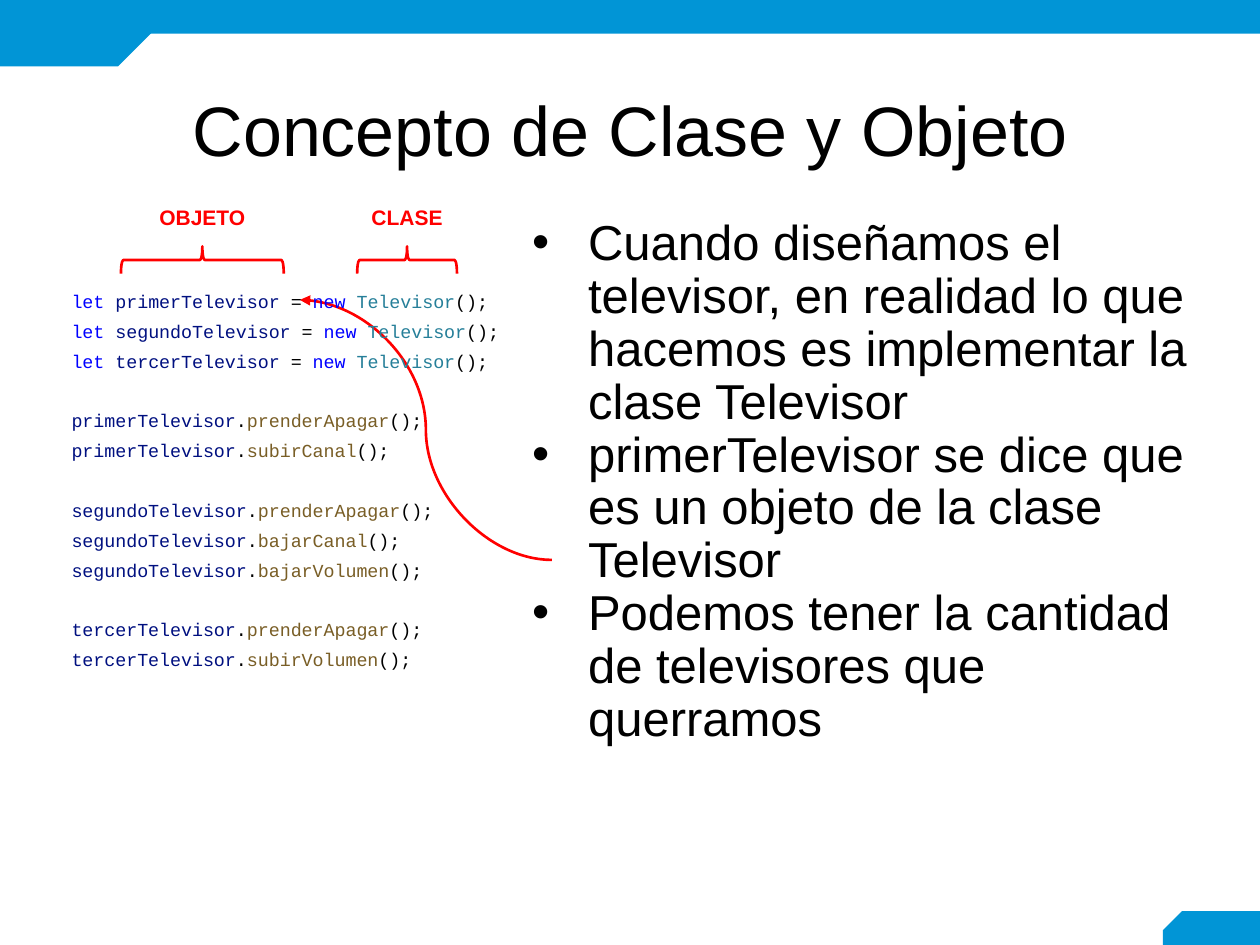
"""Build the slide that explains classes and objects with a television example."""
from dataclasses import dataclass

from lxml import etree
from pptx import Presentation
from pptx.dml.color import RGBColor
from pptx.enum import shapes, text
from pptx.oxml import ns
from pptx.util import Pt


@dataclass(frozen=True)
class Theme:
    band: str = "0195D6"
    ink: str = "000000"
    accent: str = "FF0000"
    keyword: str = "0000FF"
    variable: str = "001080"
    type_name: str = "267F99"
    method: str = "795E26"
    sans: str = "Arial"
    mono: str = "Courier New"
    title: float = 40
    body: float = 28
    label: float = 12
    code: float = 10.5


theme = Theme()
deck = Presentation()
deck.slide_width, deck.slide_height = Pt(720), Pt(540)
slide = deck.slides.add_slide(deck.slide_layouts[6])


def add_frame(left, top, width, height, anchor=text.MSO_ANCHOR.TOP, inset=None):
    frame = slide.shapes.add_textbox(Pt(left), Pt(top), Pt(width), Pt(height)).text_frame
    frame.word_wrap = True
    frame.vertical_anchor = anchor
    if inset is not None:
        frame.margin_left = frame.margin_right = Pt(inset)
        frame.margin_top = frame.margin_bottom = Pt(inset)
    return frame


def set_font(font, name, size, color, bold=False):
    font.name, font.size, font.bold = name, Pt(size), bold
    font.color.rgb = RGBColor.from_string(color)


snip, rect = shapes.MSO_SHAPE.SNIP_1_RECTANGLE, shapes.MSO_SHAPE.RECTANGLE
for preset, left, top, width, height, turn in (
    (snip, 664.6, 520.6, 55.4, 22, 0),
    (rect, 80.6, 0, 639.4, 19.2, 0),
    (snip, 0, 0, 86.4, 37.9, 180),
):
    band = slide.shapes.add_shape(preset, Pt(left), Pt(top), Pt(width), Pt(height))
    band.shadow.inherit = False
    band.fill.solid()
    band.fill.fore_color.rgb = RGBColor.from_string(theme.band)
    band.line.fill.background()
    if preset == snip:
        band.adjustments[0] = 0.5
        band.rotation = turn
        band._element.spPr.find(ns.qn("a:xfrm")).set("flipH", "1")

heading = add_frame(24.5, 46.8, 671, 59.8, text.MSO_ANCHOR.MIDDLE).paragraphs[0]
heading.text = "Concepto de Clase y Objeto"
heading.alignment = text.PP_ALIGN.CENTER
heading.line_spacing = 0.9
set_font(heading.font, theme.sans, theme.title, theme.ink)

ideas = add_frame(293, 121, 402.5, 358.6)
for index, idea in enumerate((
    "Cuando diseñamos el televisor, en realidad lo que hacemos es implementar la clase Televisor",
    "primerTelevisor se dice que es un objeto de la clase Televisor",
    "Podemos tener la cantidad de televisores que querramos",
)):
    point = ideas.add_paragraph() if index else ideas.paragraphs[0]
    point.text = idea
    point.line_spacing = 0.9
    props = point._p.get_or_add_pPr()
    props.set("marL", str(Pt(36)))
    props.set("indent", str(Pt(-32)))
    bullet_color = etree.SubElement(props, ns.qn("a:buClr"))
    etree.SubElement(bullet_color, ns.qn("a:srgbClr"), val=theme.ink)
    etree.SubElement(props, ns.qn("a:buFont"), typeface=theme.sans)
    etree.SubElement(props, ns.qn("a:buChar"), char="•")
    set_font(point.font, theme.sans, theme.body, theme.ink)

brace_depth, brace_middle = 15.6, 148.6
for caption, center, span in (("OBJETO", 115.6, 93), ("CLASE", 232.6, 57)):
    brace = slide.shapes.add_shape(
        shapes.MSO_SHAPE.LEFT_BRACE, Pt(center - brace_depth / 2),
        Pt(brace_middle - span / 2), Pt(brace_depth), Pt(span))
    brace.rotation = 90
    brace.shadow.inherit = False
    brace.fill.background()
    brace.line.color.rgb = RGBColor.from_string(theme.accent)
    brace.line.width = Pt(1.5)
    label = add_frame(center - 46.5, 114.5, 93, 18.7, text.MSO_ANCHOR.MIDDLE, 7.2).paragraphs[0]
    label.text = caption
    label.alignment = text.PP_ALIGN.CENTER
    set_font(label.font, theme.sans, theme.label, theme.accent, True)

pointer = slide.shapes.add_connector(
    shapes.MSO_CONNECTOR.CURVE, Pt(315.4), Pt(320), Pt(171.4), Pt(171.4))
pointer.line.color.rgb = RGBColor.from_string(theme.accent)
pointer.line.width = Pt(1.5)
etree.SubElement(pointer.line._get_or_add_ln(), ns.qn("a:tailEnd"), type="triangle")
etree.SubElement(pointer._element.spPr, ns.qn("a:effectLst"))

calls = {
    "primerTelevisor": ("prenderApagar", "subirCanal"),
    "segundoTelevisor": ("prenderApagar", "bajarCanal", "bajarVolumen"),
    "tercerTelevisor": ("prenderApagar", "subirVolumen"),
}
statements = [
    (0, (("let ", theme.keyword), (variable, theme.variable), (" = ", theme.ink),
         ("new ", theme.keyword), ("Televisor", theme.type_name), ("();", theme.ink)))
    for variable in calls
]
for variable, methods in calls.items():
    for index, method in enumerate(methods):
        gap = 0 if index else 17
        statements.append((gap, ((variable, theme.variable), (".", theme.ink),
                                 (method, theme.method), ("();", theme.ink))))

listing = add_frame(33.8, 154, 296.6, 236, inset=7.2)
for index, (gap, tokens) in enumerate(statements):
    line = listing.add_paragraph() if index else listing.paragraphs[0]
    line.line_spacing = 1.36
    if gap:
        line.space_before = Pt(gap)
    line.font.name, line.font.size = theme.mono, Pt(theme.code)
    for token, color in tokens:
        run = line.add_run()
        run.text = token
        run.font.color.rgb = RGBColor.from_string(color)

deck.save("out.pptx")
